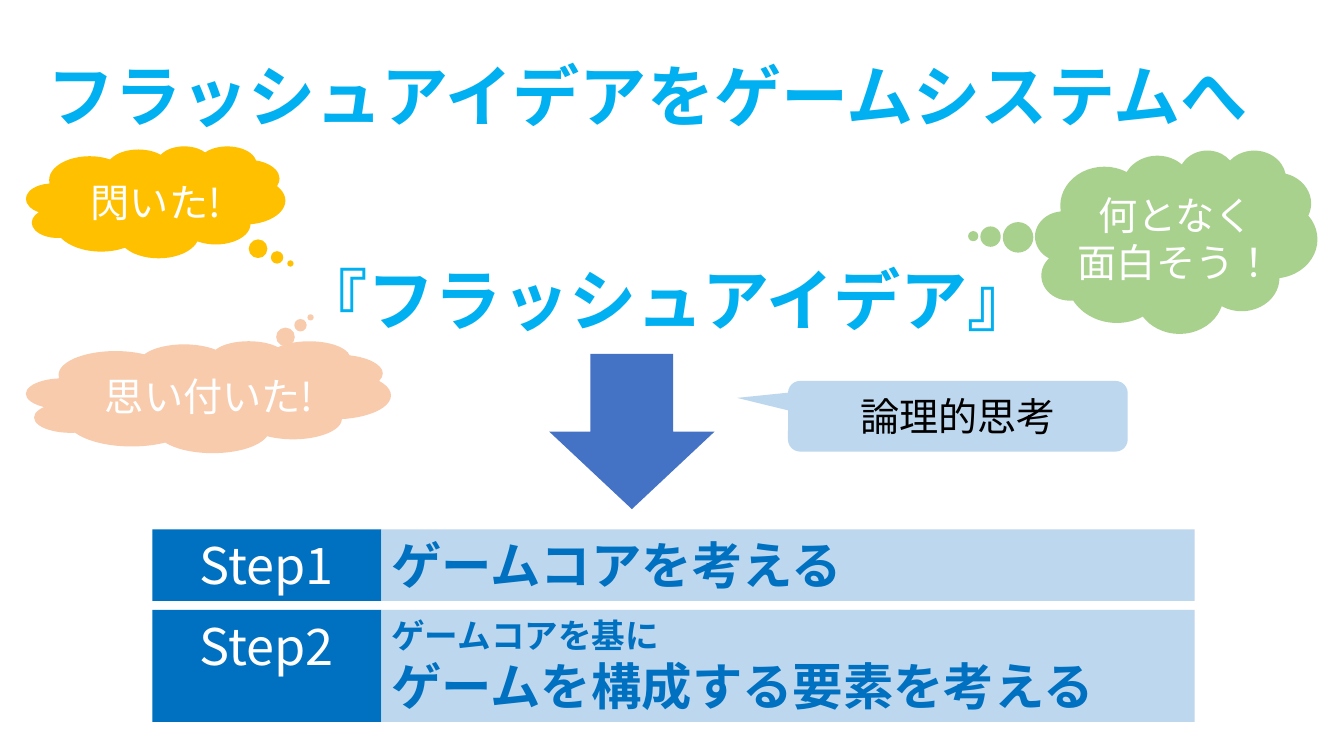
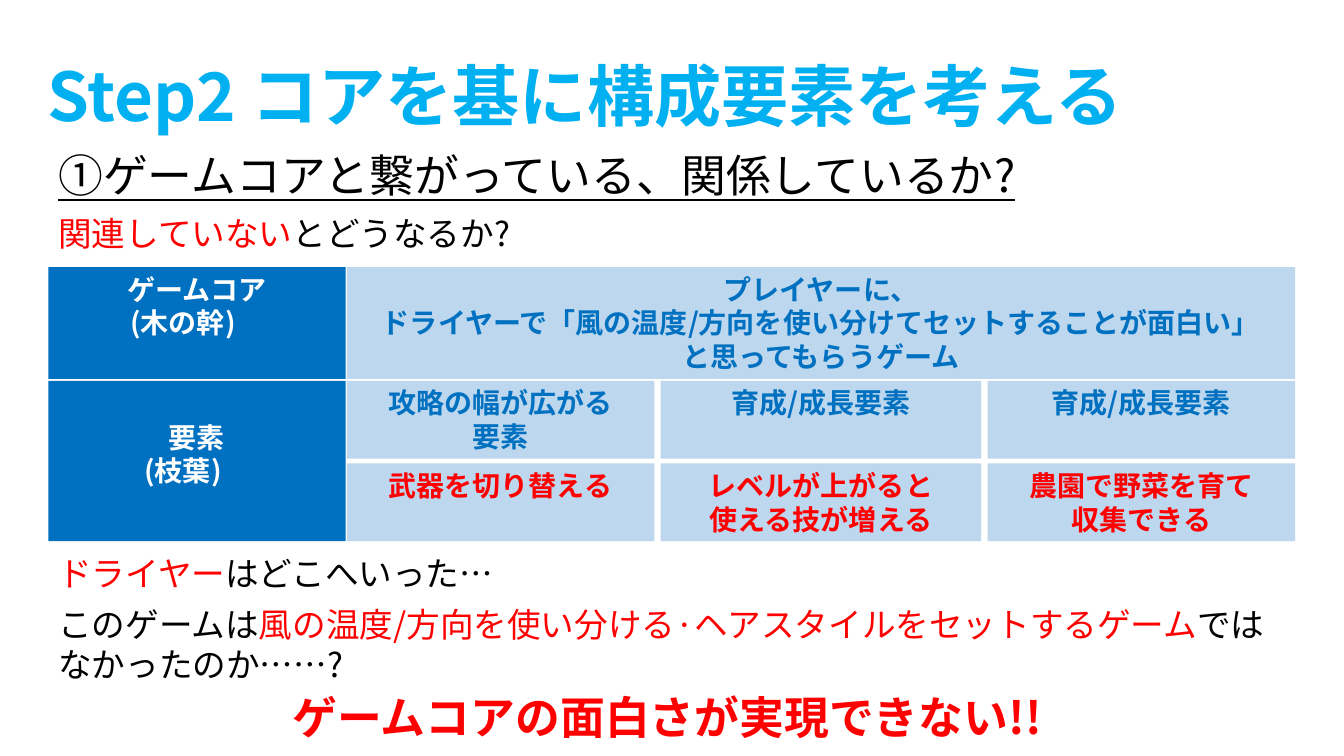
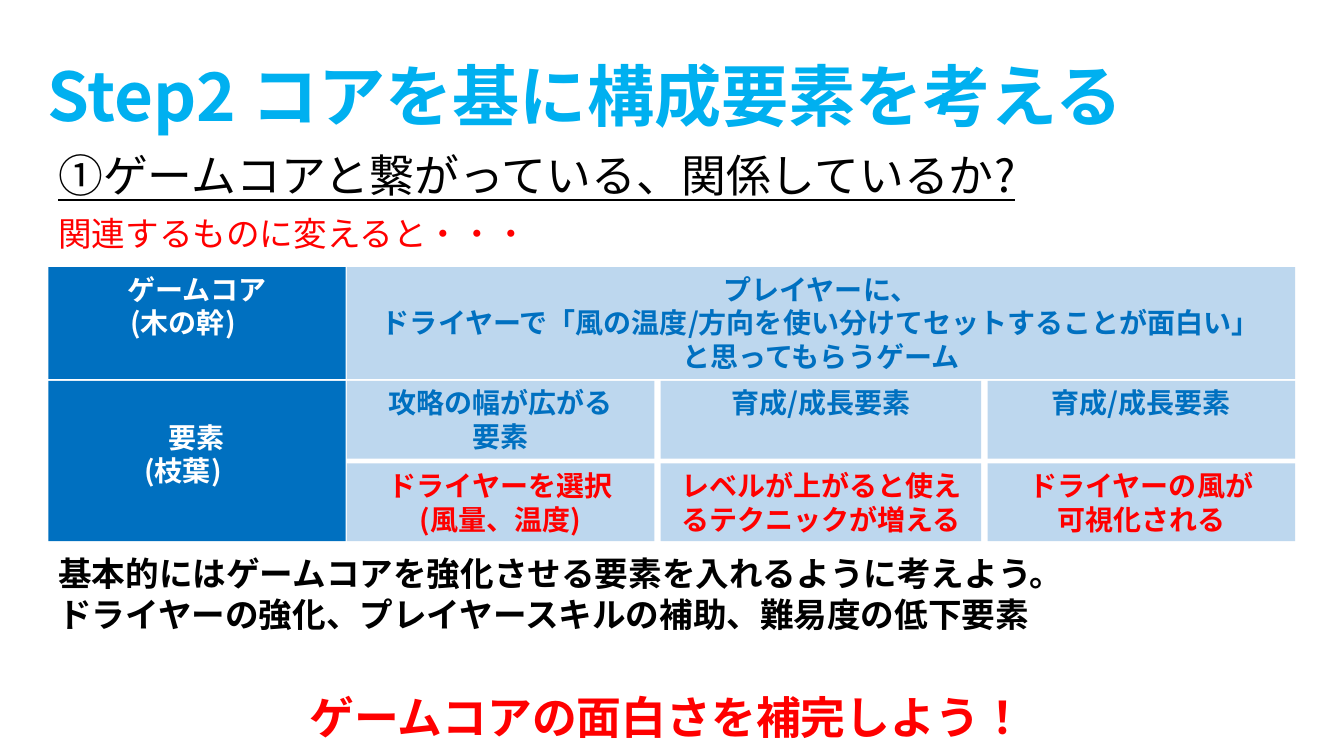
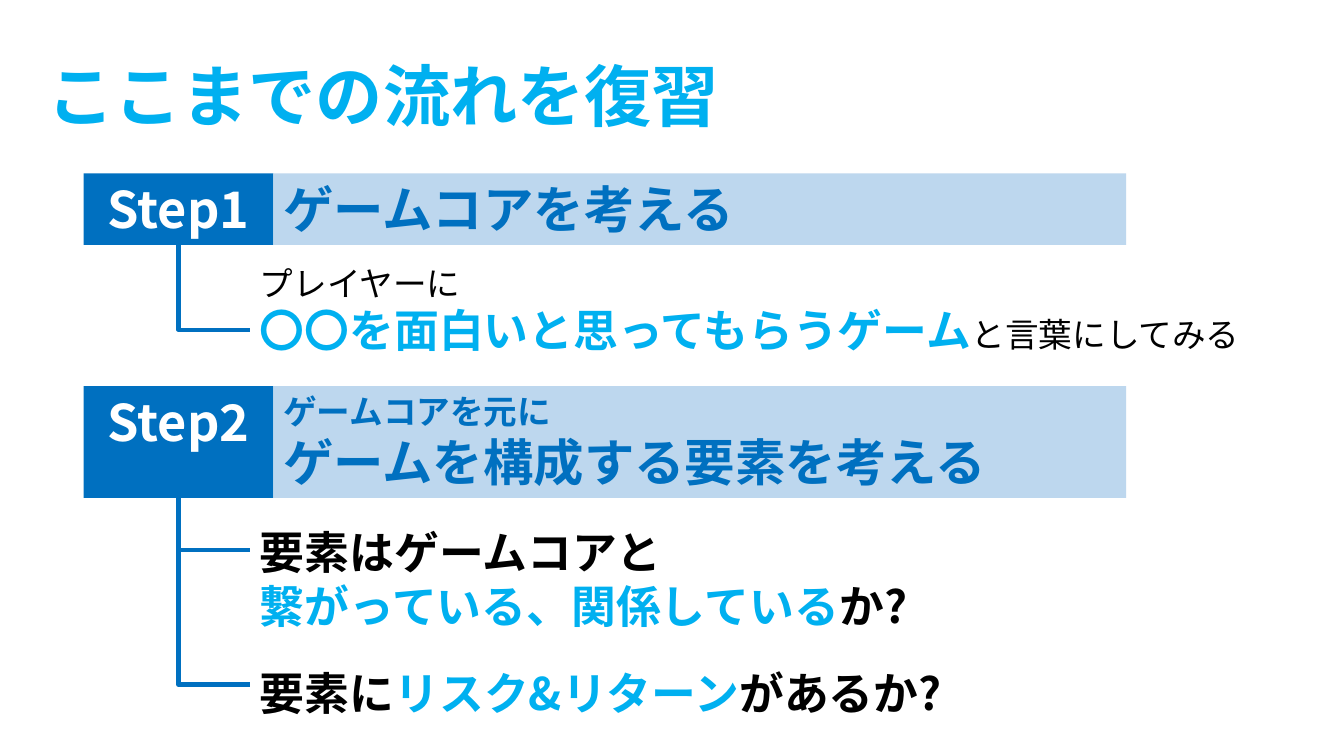
from lxml import etree
from pptx import Presentation
from pptx import util as u
from pptx.dml.color import RGBColor
from pptx.enum import lang, shapes, text
from pptx.oxml.ns import qn

FONT = "Noto Sans CJK JP"
SKY = RGBColor(0x00, 0xB0, 0xF0)
BLUE = RGBColor(0x00, 0x70, 0xC0)
PALE_BLUE = RGBColor(0xBD, 0xD7, 0xEE)
ARROW_BLUE = RGBColor(0x44, 0x72, 0xC4)
GOLD = RGBColor(0xFF, 0xC0, 0x00)
PEACH = RGBColor(0xF8, 0xCB, 0xAD)
GREEN = RGBColor(0xA9, 0xD1, 0x8E)
RED = RGBColor(0xFF, 0x00, 0x00)
WHITE = RGBColor(0xFF, 0xFF, 0xFF)
BLACK = RGBColor(0x00, 0x00, 0x00)

TITLE = {"size": 48, "bold": True, "color": SKY}
STEP = {"size": 36, "bold": True, "color": BLUE}
CELL = {"size": 20, "bold": True, "color": BLUE}
HEAD_CELL = CELL | {"color": WHITE}
EXAMPLE_CELL = CELL | {"color": RED}
NOTE = {"size": 24, "color": BLACK}
POINT = {"size": 32, "bold": True, "color": BLACK}
BUBBLE = {"size": 28, "color": WHITE}

CENTER = text.PP_ALIGN.CENTER
LEFT = text.PP_ALIGN.LEFT


def cm(values):
    return [u.Cm(value) for value in values]


def format_span(span, style):
    values = {
        "name": FONT,
        "language_id": lang.MSO_LANGUAGE_ID.JAPANESE,
        "size": u.Pt(style["size"]),
        "bold": style.get("bold", False),
        "underline": style.get("underline", False),
    }
    for name, value in values.items():
        setattr(span.font, name, value)
    span.font.color.rgb = style["color"]
    east_asian = etree.SubElement(span.font._element, qn("a:ea"))
    east_asian.set("typeface", FONT)


def write(box, lines, style, align):
    """Fill a box; a line is a string or a list of (string, style changes)."""
    frame = box.text_frame
    settings = {
        "word_wrap": True,
        "auto_size": text.MSO_AUTO_SIZE.NONE,
        "vertical_anchor": text.MSO_ANCHOR.TOP,
    }
    for name, value in settings.items():
        setattr(frame, name, value)
    for index, line in enumerate(lines):
        para = frame.add_paragraph() if index else frame.paragraphs[0]
        para.alignment = align
        for words, changes in [(line, {})] if isinstance(line, str) else line:
            span = para.add_run()
            span.text = words
            format_span(span, style | changes)


def add_text(page, at, lines, style, align=LEFT):
    write(page.shapes.add_textbox(*cm(at)), lines, style, align)


def add_figure(page, kind, at, fill, adjustments=()):
    figure = page.shapes.add_shape(kind, *cm(at))
    figure.shadow.inherit = False
    figure.fill.solid()
    figure.fill.fore_color.rgb = fill
    figure.line.fill.background()
    for index, value in enumerate(adjustments):
        figure.adjustments[index] = value
    return figure


def add_panel(page, at, fill, lines, style, align=CENTER):
    panel = add_figure(page, shapes.MSO_SHAPE.RECTANGLE, at, fill)
    write(panel, lines, style, align)
    return panel


def add_step(page, left, top, widths, name, lines, bold):
    """Draw a dark step label with its pale description to the right."""
    label_width, body_width = widths
    height = 2.82 if len(lines) > 1 else 1.8
    add_panel(page, (left, top, label_width, height), BLUE, [name],
              STEP | {"bold": bold, "color": WHITE})
    add_panel(page, (left + label_width, top, body_width, height), PALE_BLUE,
              lines, STEP, LEFT)


def add_branch(page, start, end):
    """Draw an elbow that runs down first and then to the right."""
    branch = page.shapes.add_connector(
        shapes.MSO_CONNECTOR.ELBOW, *cm(start + end))
    branch.line.color.rgb = BLUE
    branch.line.width = u.Pt(3)
    properties = branch._element.spPr
    etree.SubElement(properties, qn("a:effectLst"))
    geometry = properties.find(qn("a:prstGeom"))
    guides = geometry.find(qn("a:avLst"))
    if guides is None:
        guides = etree.SubElement(geometry, qn("a:avLst"))
    etree.SubElement(guides, qn("a:gd"), name="adj1", fmla="val 0")


def add_page(deck, title):
    page = deck.slides.add_slide(deck.slide_layouts[6])
    add_text(page, (0.94, 1.24, 31.78, 2.31), [title], TITLE)
    return page


def add_core_grid(page, examples):
    """Draw the game core above its three kinds of element and examples."""
    left, head_width, first_column, gap = 1.22, 7.49, 8.74, 0.16
    widths = (7.75, 8.08, 7.75)
    core_top, kind_top, example_top = 6.73, 9.6, 11.68
    core_height, height = 2.82, 1.96
    add_panel(page, (left, core_top, head_width, core_height), BLUE,
              ["ゲームコア", "(木の幹)　"], HEAD_CELL)
    add_panel(page, (first_column, core_top, sum(widths) + 2 * gap, core_height),
              PALE_BLUE,
              ["プレイヤーに、",
               "ドライヤーで「風の温度/方向を使い分けてセットすることが面白い」",
               "と思ってもらうゲーム"], CELL)
    elements = add_panel(
        page, (left, kind_top, head_width, example_top + height - kind_top),
        BLUE, ["要素", "(枝葉)　"], HEAD_CELL)
    elements.text_frame.margin_top = u.Cm(0.99)

    kinds = (["攻略の幅が広がる", "要素"], ["育成/成長要素"], ["育成/成長要素"])
    column = first_column
    for width, kind, example in zip(widths, kinds, examples):
        add_panel(page, (column, kind_top, width, height), PALE_BLUE, kind, CELL)
        add_panel(page, (column, example_top, width, height), PALE_BLUE,
                  example, EXAMPLE_CELL)
        column += width + gap


def add_element_page(deck, lead, examples, conclusion):
    page = add_page(deck, "Step2 コアを基に構成要素を考える")
    add_text(page, (1.22, 3.61, 26.21, 1.63),
             ["①ゲームコアと繋がっている、関係しているか?"],
             POINT | {"bold": False, "underline": True})
    add_text(page, (1.22, 5.23, 18.08, 1.27), [lead], NOTE)
    add_core_grid(page, examples)
    add_text(page, (5.49, 17.25, 22.66, 1.63), [conclusion],
             POINT | {"color": RED}, CENTER)
    return page


def build_idea_page(deck):
    page = add_page(deck, "フラッシュアイデアをゲームシステムへ")
    add_text(page, (0.94, 6.38, 31.78, 2.31), ["『フラッシュアイデア』"],
             TITLE, CENTER)
    cloud = shapes.MSO_SHAPE.CLOUD_CALLOUT
    callout = shapes.MSO_SHAPE.ROUNDED_RECTANGULAR_CALLOUT
    bubbles = [
        (cloud, (0.66, 3.68, 6.53, 2.82), GOLD, (0.52, 0.55),
         (1.35, 4.37, 5.16, 1.45), ["閃いた!"], WHITE),
        (cloud, (0.66, 8.59, 9.19, 2.82), PEACH, (0.28, -0.71),
         (1.42, 9.25, 7.7, 1.45), ["思い付いた!"], WHITE),
        (cloud, (26.09, 3.78, 7.11, 4.62), GREEN, (-0.72, -0.03),
         (25.78, 4.7, 7.7, 2.64), ["何となく", "面白そう！"], WHITE),
        (callout, (19.86, 9.6, 8.56, 1.78), PALE_BLUE, (-0.65, -0.26, 0.17),
         (20.29, 9.75, 7.7, 1.45), ["論理的思考"], BLACK),
    ]
    for kind, at, fill, adjustments, text_at, lines, color in bubbles:
        add_figure(page, kind, at, fill, adjustments)
        add_text(page, text_at, lines, BUBBLE | {"color": color}, CENTER)
    add_figure(page, shapes.MSO_SHAPE.DOWN_ARROW,
               (13.84, 8.92, 4.17, 3.91), ARROW_BLUE)
    widths = (5.77, 20.5)
    add_step(page, 3.84, 13.34, widths, "Step1", ["ゲームコアを考える"], False)
    add_step(page, 3.84, 15.37, widths, "Step2",
             [[("ゲームコアを基に", {"size": 24})],
              "ゲームを構成する要素を考える"], False)


def build_unrelated_page(deck):
    red = {"color": RED}
    page = add_element_page(
        deck,
        [("関連していない", red), ("とどうなるか?", {})],
        (["武器を切り替える"],
         ["レベルが上がると", "使える技が増える"],
         ["農園で野菜を育て", "収集できる"]),
        "ゲームコアの面白さが実現できない!!")
    add_text(page, (1.22, 13.82, 18.08, 1.27),
             [[("ドライヤー", red), ("はどこへいった…", {})]], NOTE)
    add_text(page, (1.22, 15.09, 31.5, 2.31),
             [[("このゲームは", {}),
               ("風の温度/方向を使い分ける·ヘアスタイルをセットするゲーム", red),
               ("ではなかったのか……?", {})]], NOTE)


def build_related_page(deck):
    page = add_element_page(
        deck,
        [("関連するものに変えると・・・", {"color": RED})],
        (["ドライヤーを選択", "(風量、温度)"],
         ["レベルが上がると使えるテクニックが増える"],
         ["ドライヤーの風が", "可視化される"]),
        "ゲームコアの面白さを補完しよう！")
    add_text(page, (1.22, 13.82, 31.42, 2.31),
             ["基本的にはゲームコアを強化させる要素を入れるように考えよう。",
              "ドライヤーの強化、プレイヤースキルの補助、難易度の低下要素"],
             NOTE | {"bold": True})


def build_review_page(deck):
    page = add_page(deck, "ここまでの流れを復習")
    sky = {"color": SKY}
    trunk, text_left = 4.5, 6.3
    for start, end in ((6.12, 8.31), (12.5, 13.87), (12.5, 17.25)):
        add_branch(page, (trunk, start), (text_left, end))
    widths = (4.78, 21.49)
    add_step(page, 2.11, 4.37, widths, "Step1　", ["ゲームコアを考える"], True)
    add_step(page, 2.11, 9.73, widths, "Step2",
             [[("ゲームコアを元に", {"size": 24})],
              "ゲームを構成する要素を考える"], True)
    add_text(page, (text_left, 6.5, 25.48, 2.64),
             ["プレイヤーに",
              [("〇〇を面白いと思ってもらうゲーム", POINT | sky),
               ("と言葉にしてみる", {})]], NOTE)
    add_text(page, (text_left, 13.11, 22.66, 3),
             ["要素はゲームコアと",
              [("繋がっている、関係している", sky), ("か?", {})]], POINT)
    add_text(page, (text_left, 16.64, 22.66, 1.63),
             [[("要素に", {}), ("リスク&リターン", sky), ("があるか?", {})]],
             POINT)


def main():
    deck = Presentation()
    deck.slide_width, deck.slide_height = cm((33.87, 19.05))
    build_idea_page(deck)
    build_unrelated_page(deck)
    build_related_page(deck)
    build_review_page(deck)
    deck.save("out.pptx")


if __name__ == "__main__":
    main()
